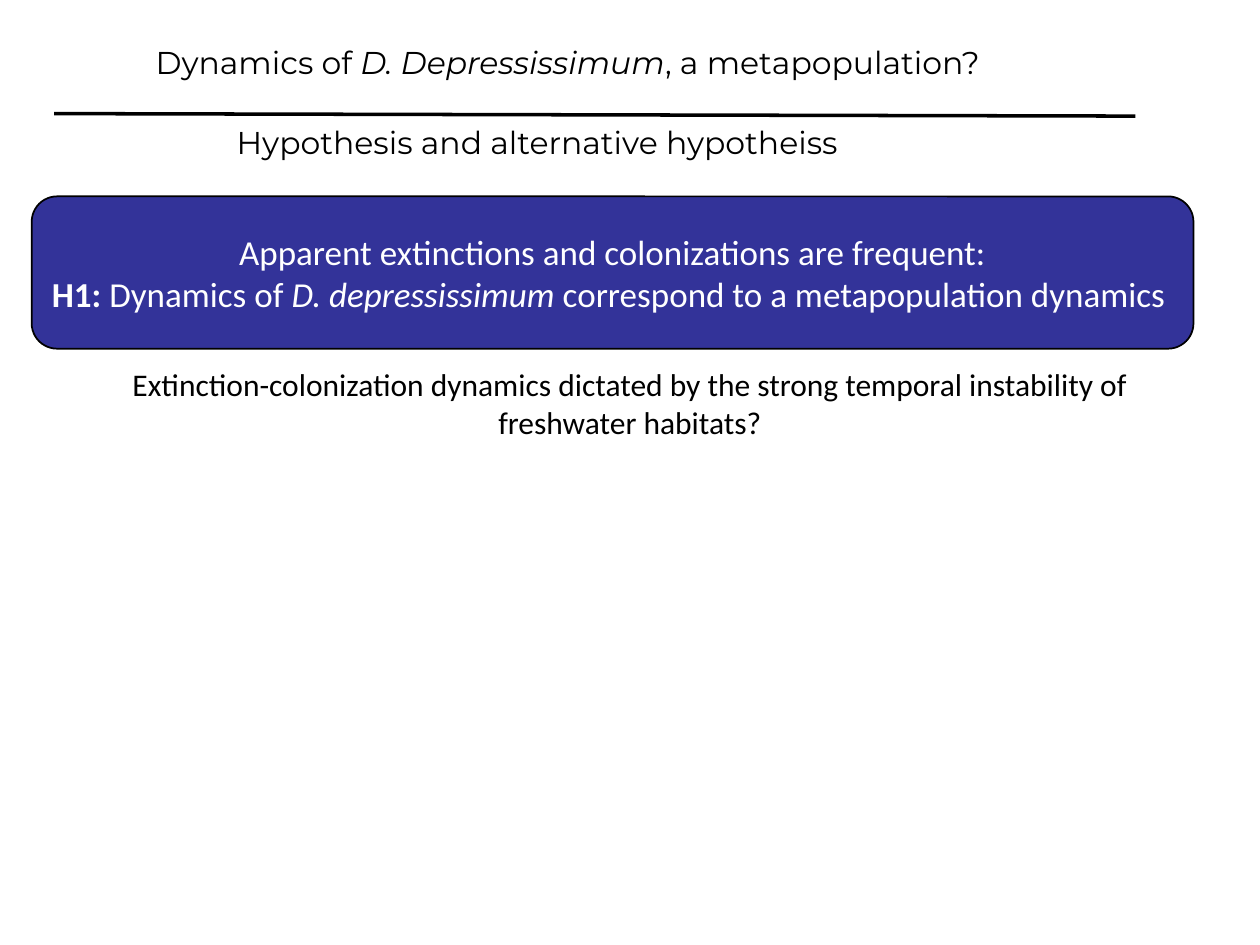
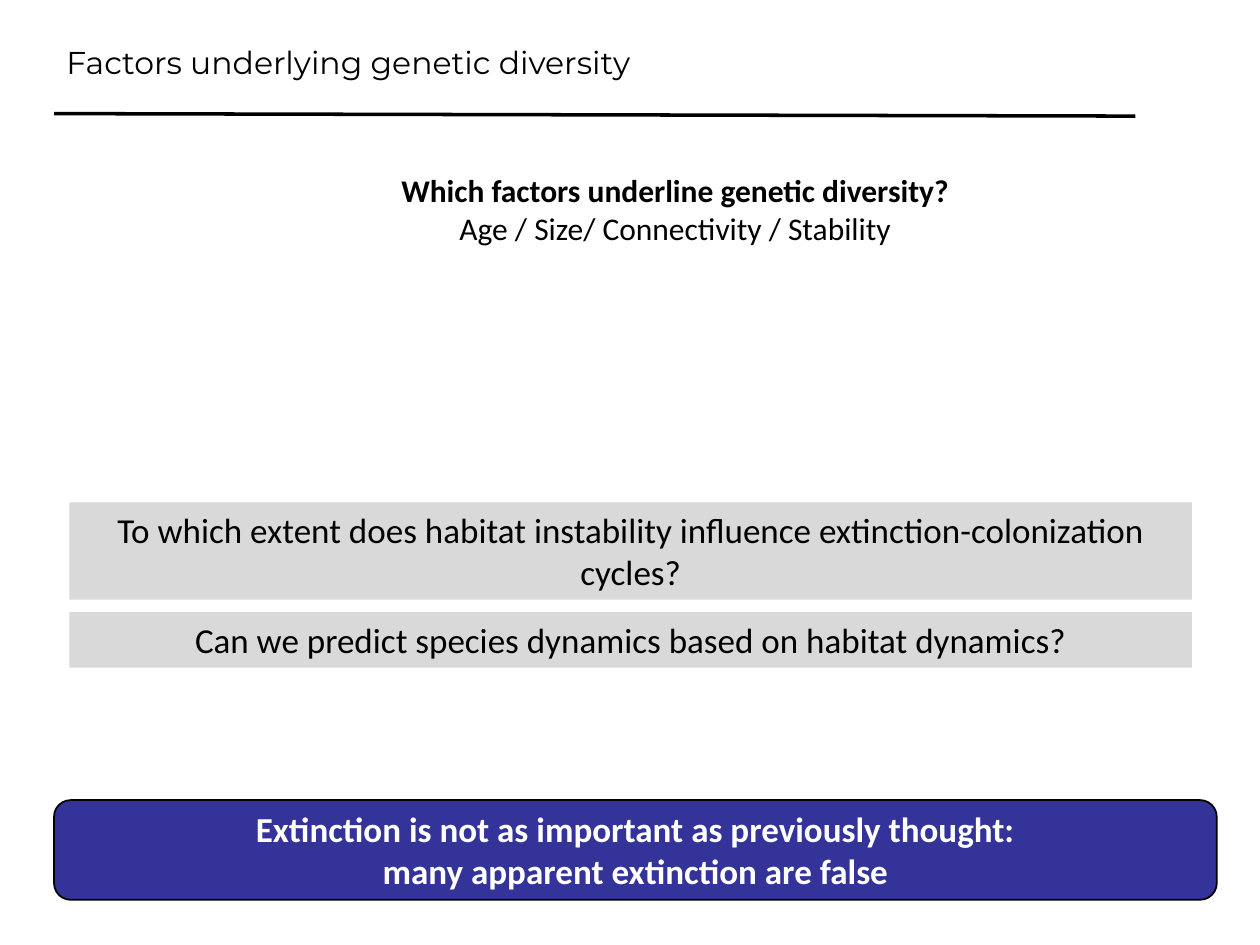
import pptx
import pptx.dml.color
import pptx.enum.shapes
import pptx.enum.text
import pptx.oxml.ns
import pptx.util
from dataclasses import dataclass
from lxml import etree
from pptx.util import Cm

ALIGN = pptx.enum.text.PP_ALIGN
ANCHOR = pptx.enum.text.MSO_ANCHOR
SHAPE = pptx.enum.shapes.MSO_SHAPE


@dataclass(frozen=True)
class Theme:
    ink: str = "000000"
    paper: str = "FFFFFF"
    accent: str = "333399"
    panel: str = "D9D9D9"
    heading_font: str = "Montserrat"
    body_font: str = "Calibri"
    normal: int = 18
    large: int = 20
    outline: float = 1
    rule: float = 2


def rgb(code):
    return pptx.dml.color.RGBColor.from_string(code)


class Deck:
    def __init__(self, theme):
        self.theme = theme
        self.presentation = pptx.Presentation()
        self.presentation.slide_width = Cm(25.4)
        self.presentation.slide_height = Cm(19.05)
        self.slide = None

    def new_slide(self, title, align):
        """Start a slide with its title and the rule below it."""
        self.slide = self.presentation.slides.add_slide(
            self.presentation.slide_layouts[6])
        self.rule()
        self.heading((1.09, 0.74, 20.88, 1.02), title, align)

    def rule(self):
        line = self.slide.shapes.add_connector(
            pptx.enum.shapes.MSO_CONNECTOR.STRAIGHT,
            Cm(1.09), Cm(2.29), Cm(22.89), Cm(2.34))
        line.line.color.rgb = rgb(self.theme.ink)
        line.line.width = pptx.util.Pt(self.theme.rule)
        etree.SubElement(line.element.spPr, pptx.oxml.ns.qn("a:effectLst"))

    def add_text(self, shape, paragraphs, font, size, color,
                 align=ALIGN.CENTER, anchor=ANCHOR.TOP):
        """Fill a shape with paragraphs of (text, style) runs; style is "", "b" or "i"."""
        frame = shape.text_frame
        frame.word_wrap = True
        frame.vertical_anchor = anchor
        for index, runs in enumerate(paragraphs):
            paragraph = frame.add_paragraph() if index else frame.paragraphs[0]
            paragraph.alignment = align
            for text, style in runs:
                run = paragraph.add_run()
                run.text = text
                run.font.name = font
                run.font.size = pptx.util.Pt(size)
                run.font.color.rgb = rgb(color)
                run.font.bold = style == "b"
                run.font.italic = style == "i"

    def heading(self, box, runs, align=ALIGN.LEFT):
        shape = self.slide.shapes.add_textbox(*map(Cm, box))
        self.add_text(shape, [runs], self.theme.heading_font,
                      self.theme.normal, self.theme.ink, align, ANCHOR.MIDDLE)

    def body(self, box, paragraphs):
        shape = self.slide.shapes.add_textbox(*map(Cm, box))
        self.add_text(shape, paragraphs, self.theme.body_font,
                      self.theme.normal, self.theme.ink)

    def filled(self, kind, box, fill):
        shape = self.slide.shapes.add_shape(kind, *map(Cm, box))
        shape.shadow.inherit = False
        shape.fill.solid()
        shape.fill.fore_color.rgb = rgb(fill)
        shape.line.fill.background()
        return shape

    def statement(self, box, paragraphs):
        """Rounded accent box for a hypothesis or a conclusion."""
        shape = self.filled(SHAPE.ROUNDED_RECTANGLE, box, self.theme.accent)
        shape.line.color.rgb = rgb(self.theme.ink)
        shape.line.width = pptx.util.Pt(self.theme.outline)
        self.add_text(shape, paragraphs, self.theme.body_font,
                      self.theme.large, self.theme.paper, anchor=ANCHOR.MIDDLE)
        shape.text_frame.margin_left = shape.text_frame.margin_right = Cm(0.1)

    def question(self, top, height, text):
        shape = self.filled(SHAPE.RECTANGLE, (1.4, top, 22.63, height),
                            self.theme.panel)
        self.add_text(shape, [[(text, "")]], self.theme.body_font,
                      self.theme.large, self.theme.ink)


def hypothesis_slide(deck):
    deck.new_slide([("Dynamics of ", ""), ("D. Depressissimum", "i"),
                    (", a metapopulation? ", "")], ALIGN.CENTER)
    deck.heading((4.52, 2.36, 20.4, 1.02),
                 [("Hypothesis and alternative hypotheiss", "")])
    deck.statement((0.64, 3.96, 23.42, 3.07), [
        [("Apparent extinctions and colonizations are frequent:", "")],
        [("H1: ", "b"), ("Dynamics of ", ""), ("D. depressissimum", "i"),
         (" correspond to a metapopulation dynamics ", "")]])
    deck.body((0.99, 7.24, 23.42, 1.8), [
        [("Extinction-colonization dynamics dictated by the strong temporal "
          "instability of freshwater habitats?", "")]])


def diversity_slide(deck):
    deck.new_slide([("Factors underlying genetic diversity", "")], ALIGN.LEFT)
    deck.body((2.11, 3.33, 23.01, 1.8), [
        [("Which factors underline genetic diversity?", "b")],
        [("Age / Size/ Connectivity / Stability", "")]])
    deck.question(10.13, 1.96, "To which extent does habitat instability "
                               "influence extinction-colonization cycles?")
    deck.question(12.34, 1.12, "Can we predict species dynamics based on "
                               "habitat dynamics?")
    deck.statement((1.09, 16.13, 23.44, 2.01), [
        [("Extinction is not as important as previously thought:", "b")],
        [("many apparent extinction are false", "b")]])


def main():
    deck = Deck(Theme())
    hypothesis_slide(deck)
    diversity_slide(deck)
    deck.presentation.save("out.pptx")


if __name__ == "__main__":
    main()
